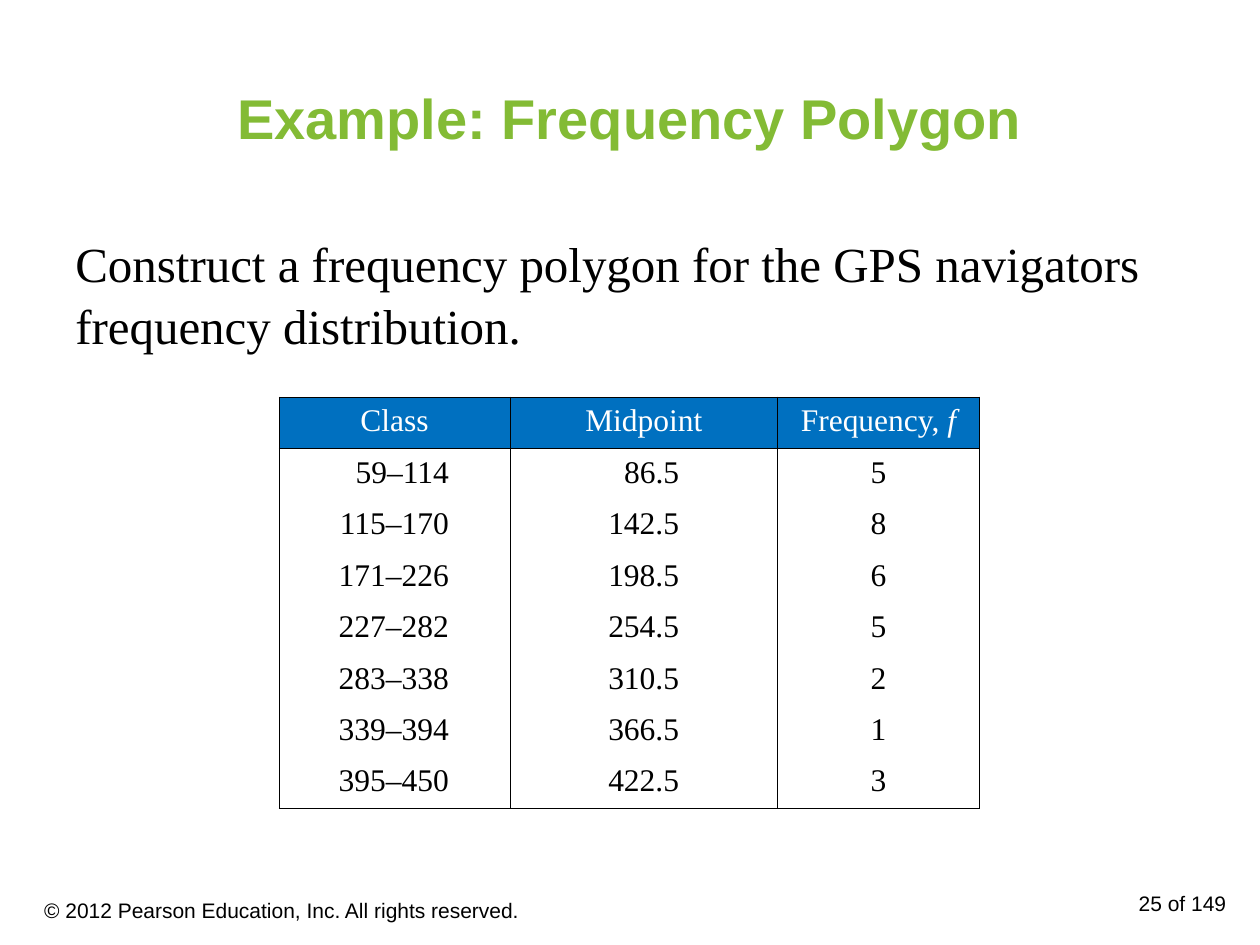
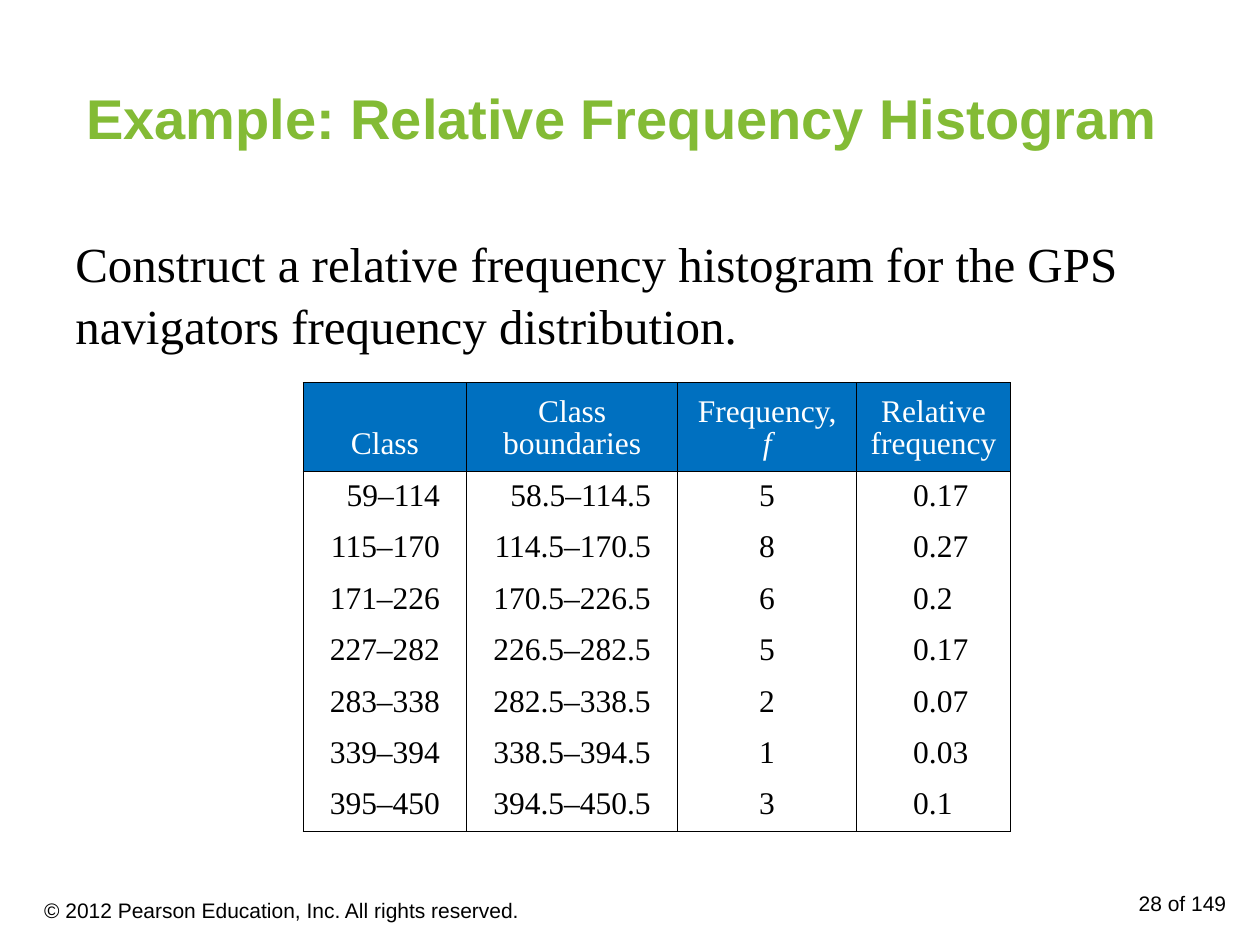
import pptx
import pptx.dml.color
import pptx.enum.text
import pptx.oxml
import pptx.oxml.ns
import pptx.util
from lxml import etree

Cm = pptx.util.Cm
Pt = pptx.util.Pt
ALIGN = pptx.enum.text.PP_ALIGN
ANCHOR = pptx.enum.text.MSO_ANCHOR

GREEN, BLUE, BLACK, WHITE = "83BB35", "0070C0", "000000", "FFFFFF"
SANS, SERIF = "Arial", "Times New Roman"
PLAIN_TABLE = "{2D5ABB26-0587-4C30-8999-92F81FD0307C}"
ROW_HEIGHT = 1.03

TITLE_BOX = (1.27, 0.76, 22.86, 3.18)
TASK_BOX = (1.27, 4.45, 22.86, 2.77)
NUMBER_BOX = (19.05, 17.83, 5.92, 1.02)
COPYRIGHT_BOX = (0.64, 17.83, 12.06, 1.02)

CLASSES = ["59–114", "115–170", "171–226", "227–282", "283–338", "339–394", "395–450"]
BOUNDARIES = ["58.5–114.5", "114.5–170.5", "170.5–226.5", "226.5–282.5",
              "282.5–338.5", "338.5–394.5", "394.5–450.5"]
MIDPOINTS = ["86.5", "142.5", "198.5", "254.5", "310.5", "366.5", "422.5"]
FREQUENCIES = ["5", "8", "6", "5", "2", "1", "3"]
RELATIVE = ["0.17", "0.27", "0.2", "0.17", "0.07", "0.03", "0.1"]


def color(value):
    return pptx.dml.color.RGBColor.from_string(value)


def write(frame, text, size=18, font=SERIF, fill=BLACK, bold=False,
          align=ALIGN.LEFT, spacing=None):
    """Fill a frame, one paragraph a line; text between asterisks is italic."""
    frame.word_wrap = True
    for number, line in enumerate(text.split("\n")):
        para = frame.add_paragraph() if number else frame.paragraphs[0]
        para.alignment = align
        if spacing:
            para.line_spacing = spacing
        for part, words in enumerate(line.split("*")):
            if not words:
                continue
            span = para.add_run()
            span.text = words
            span.font.size = Pt(size)
            span.font.name = font
            span.font.bold = bold
            span.font.italic = part % 2 == 1
            span.font.color.rgb = color(fill)


def add_text(page, box, text, anchor=ANCHOR.TOP, top_inset=0.13, **style):
    frame = page.shapes.add_textbox(*map(Cm, box)).text_frame
    frame.vertical_anchor = anchor
    frame.margin_top = Cm(top_inset)
    write(frame, text, **style)


def set_borders(cell, sides):
    """Draw thin black lines on the named sides (L, R, T, B), none on the rest."""
    properties = cell._tc.get_or_add_tcPr()
    for side in "LRTB":
        line = etree.SubElement(properties, pptx.oxml.ns.qn(f"a:ln{side}"), w=str(Pt(0.45)))
        if side in sides:
            solid = etree.SubElement(line, pptx.oxml.ns.qn("a:solidFill"))
            etree.SubElement(solid, pptx.oxml.ns.qn("a:srgbClr"), val=BLACK)
        else:
            etree.SubElement(line, pptx.oxml.ns.qn("a:noFill"))


def fill_cell(cell, text, sides, background=None, **style):
    set_borders(cell, sides)
    if background:
        cell.fill.solid()
        cell.fill.fore_color.rgb = color(background)
    else:
        cell.fill.background()
    cell.vertical_anchor = ANCHOR.BOTTOM
    cell.margin_bottom = Cm(0.2)
    write(cell.text_frame, text, spacing=0.93, **style)


def add_frequency_table(page, left, top, header_height, columns):
    """Each column holds its header, width, alignment, side inset and values."""
    count = len(CLASSES)
    width = sum(column[1] for column in columns)
    height = header_height + count * ROW_HEIGHT
    table = page.shapes.add_table(count + 1, len(columns), Cm(left), Cm(top),
                                  Cm(width), Cm(height)).table
    table._tbl.tblPr.find(pptx.oxml.ns.qn("a:tableStyleId")).text = PLAIN_TABLE
    table.horz_banding = False
    for row in table.rows:
        row.height = Cm(ROW_HEIGHT)
    table.rows[0].height = Cm(header_height)

    for index, (header, column_width, align, inset, values) in enumerate(columns):
        table.columns[index].width = Cm(column_width)
        fill_cell(table.cell(0, index), header, "LRTB", BLUE, fill=WHITE, align=ALIGN.CENTER)
        for row, value in enumerate(values, 1):
            sides = "LR" + "T" * (row == 1) + "B" * (row == count)
            cell = table.cell(row, index)
            fill_cell(cell, value, sides, align=align)
            if align == ALIGN.RIGHT:
                cell.margin_right = Cm(inset)
            else:
                cell.margin_left = Cm(inset)


def add_example(deck, title, task, number, **table):
    page = deck.slides.add_slide(deck.slide_layouts[6])
    add_text(page, TITLE_BOX, title, ANCHOR.MIDDLE, size=32, font=SANS,
             fill=GREEN, bold=True, align=ALIGN.CENTER)
    add_text(page, TASK_BOX, task, top_inset=0.2, size=28, spacing=1.05)
    add_frequency_table(page, **table)
    add_text(page, NUMBER_BOX, f"{number} of 149", size=12, font=SANS, align=ALIGN.RIGHT)
    add_text(page, COPYRIGHT_BOX, "© 2012 Pearson Education, Inc. All rights reserved.",
             ANCHOR.MIDDLE, size=12, font=SANS)


def main():
    deck = pptx.Presentation()
    deck.slide_width, deck.slide_height = Cm(25.4), Cm(19.05)
    add_example(
        deck, "Example: Frequency Polygon",
        "Construct a frequency polygon for the GPS navigators frequency distribution.",
        25, left=5.63, top=8, header_height=ROW_HEIGHT,
        columns=[("Class", 4.65, ALIGN.RIGHT, 1.23, CLASSES),
                 ("Midpoint", 5.4, ALIGN.RIGHT, 1.99, MIDPOINTS),
                 ("Frequency, *f*", 4.06, ALIGN.CENTER, 0.25, FREQUENCIES)])
    add_example(
        deck, "Example: Relative Frequency Histogram ",
        "Construct a relative frequency histogram for the GPS navigators frequency distribution.",
        28, left=6.11, top=7.71, header_height=1.79,
        columns=[("Class", 3.3, ALIGN.RIGHT, 0.54, CLASSES),
                 ("Class boundaries", 4.25, ALIGN.RIGHT, 0.54, BOUNDARIES),
                 ("Frequency, *f*", 3.61, ALIGN.CENTER, 0.25, FREQUENCIES),
                 ("Relative\nfrequency", 3.1, ALIGN.LEFT, 1.14, RELATIVE)])
    deck.save("out.pptx")


if __name__ == "__main__":
    main()
